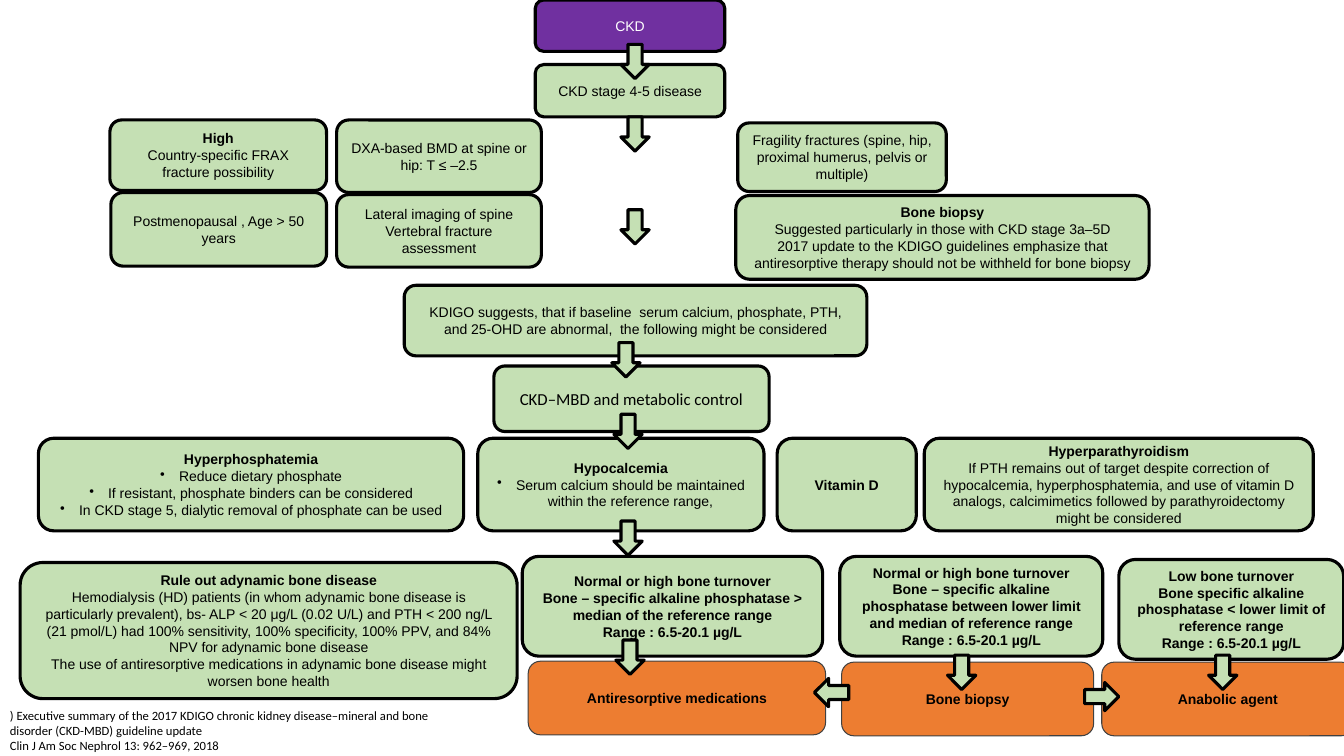
import dataclasses

import pptx
import pptx.dml.color
import pptx.enum.shapes
import pptx.enum.text
import pptx.oxml.ns
import pptx.util
from lxml import etree

Pt = pptx.util.Pt
Kind = pptx.enum.shapes.MSO_SHAPE
Align = pptx.enum.text.PP_ALIGN
Anchor = pptx.enum.text.MSO_ANCHOR


@dataclasses.dataclass(frozen=True)
class Look:
    """Fill, outline and lettering of one family of boxes."""
    fill: str = "C5E0B4"
    line: str = "000000"
    weight: float = 2.25
    text: str = "000000"
    font: str = "Arial"
    size: float = 10


@dataclasses.dataclass(frozen=True)
class Theme:
    step: Look = Look()
    start: Look = Look(fill="7030A0", text="FFFFFF")
    control: Look = Look(font="Calibri", size=12)
    therapy: Look = Look(fill="ED7D31", line="404040", weight=0.75)
    citation: Look = Look(font="Calibri", size=9)


@dataclasses.dataclass(frozen=True)
class Area:
    left: float
    top: float
    width: float
    height: float

    def inner(self, left, top, width, height):
        """Area measured from this area's top left corner."""
        return Area(self.left + left, self.top + top, width, height)

    def lengths(self):
        return [Pt(length) for length in dataclasses.astuple(self)]


THEME = Theme()
ARROW_WIDTH, ARROW_HEIGHT = 20.2, 24.5
BULLET_INDENT = 13.5


def rgb(code):
    return pptx.dml.color.RGBColor.from_string(code)


def set_all(target, values):
    for name, value in values.items():
        setattr(target, name, value)


def add_bullet(para):
    properties = para._p.get_or_add_pPr()
    properties.set("marL", str(Pt(BULLET_INDENT)))
    properties.set("indent", str(-Pt(BULLET_INDENT)))
    bullet = etree.SubElement(properties, pptx.oxml.ns.qn("a:buChar"))
    bullet.set("char", "•")


def write(frame, look, bold, plain, align, bulleted=False):
    """Write bold paragraphs, then plain ones, which may be bulleted."""
    frame.word_wrap = True
    for index, words in enumerate([*bold, *plain]):
        para = frame.add_paragraph() if index else frame.paragraphs[0]
        is_bold = index < len(bold)
        if bulleted and not is_bold:
            add_bullet(para)
        para.alignment = align
        span = para.add_run()
        span.text = words
        set_all(span.font, {"name": look.font, "size": Pt(look.size), "bold": is_bold})
        span.font.color.rgb = rgb(look.text)


def add_outlined(page, kind, area, look):
    shape = page.shapes.add_shape(kind, *area.lengths())
    shape.shadow.inherit = False
    shape.fill.solid()
    shape.fill.fore_color.rgb = rgb(look.fill)
    shape.line.color.rgb = rgb(look.line)
    shape.line.width = Pt(look.weight)
    return shape


def add_box(page, area, bold=(), plain=(), look=THEME.step, bulleted=False):
    box = add_outlined(page, Kind.ROUNDED_RECTANGLE, area, look)
    box.text_frame.vertical_anchor = Anchor.MIDDLE
    write(box.text_frame, look, bold, plain, Align.CENTER, bulleted)


def add_arrow(page, region, left, top, rotation=0):
    area = region.inner(left, top, ARROW_WIDTH, ARROW_HEIGHT)
    add_outlined(page, Kind.DOWN_ARROW, area, THEME.step).rotation = rotation


def add_entry(page, region):
    add_box(page, region.inner(0, 0, region.width, 36.7), plain=["CKD"], look=THEME.start)
    add_box(page, region.inner(0, 46.1, region.width, 37.4), plain=["CKD stage 4-5 disease"])
    for top in (31.7, 83.5, 149.8):
        add_arrow(page, region, 61.2, top)


def add_assessment(page, region):
    add_box(page, region.inner(0, 0, 154.8, 50.4), ["High"],
            ["Country-specific FRAX fracture possibility"])
    add_box(page, region.inner(0.7, 51.8, 154.1, 52.6),
            plain=["Postmenopausal , Age > 50 years"])
    imaging = (["DXA-based BMD at spine or hip: T ≤ –2.5"],
               ["Lateral imaging of spine", "Vertebral fracture assessment"])
    for row, lines in enumerate(imaging):
        add_box(page, region.inner(162, 53.3 * row, 146.2, 51.8), plain=lines)
    add_box(page, region.inner(448.5, 2.1, 149, 49),
            plain=["Fragility fractures (spine, hip, proximal humerus, pelvis or multiple)"])
    add_box(page, region.inner(447.1, 54, 295.2, 59.8), ["Bone biopsy"],
            ["Suggested particularly in those with CKD stage 3a–5D",
             "2017 update to the KDIGO guidelines emphasize that antiresorptive "
             "therapy should not be withheld for bone biopsy"])


def add_control(page, region):
    """Metabolic control steps above the row of disorders to correct."""
    add_box(page, region.inner(261.3, 0, 330.5, 50.4),
            plain=["KDIGO suggests, that if baseline  serum calcium, phosphate, PTH, "
                   "and 25-OHD are abnormal,  the following might be considered"])
    add_box(page, region.inner(325.4, 57.6, 196.6, 46.8),
            plain=["CKD–MBD and metabolic control"], look=THEME.control)
    disorders = [
        (0, 303.8, "Hyperphosphatemia",
         ["Reduce dietary phosphate",
          "If resistant, phosphate binders can be considered",
          "In CKD stage 5, dialytic removal of phosphate can be used"], True),
        (313.9, 204.5, "Hypocalcemia",
         ["Serum calcium should be maintained within the reference range,"], True),
        (527.7, 99.4, "Vitamin D", [], False),
        (632.8, 277.9, "Hyperparathyroidism",
         ["If PTH remains out of target despite correction of hypocalcemia, "
          "hyperphosphatemia, and use of vitamin D analogs, calcimimetics "
          "followed by parathyroidectomy might be considered"], False),
    ]
    for left, width, heading, advice, bulleted in disorders:
        add_box(page, region.inner(left, 109.2, width, 66.2), [heading], advice,
                bulleted=bulleted)
    for left, top in ((409.6, 41), (411.1, 92.1), (411.1, 168.4)):
        add_arrow(page, region, left, top)


def add_turnover(page, region):
    """Bone turnover findings, each leading down to its treatment."""
    add_box(page, region.inner(0, 4.4, 355, 97.2), ["Rule out adynamic bone disease"],
            ["Hemodialysis (HD) patients (in whom adynamic bone disease is particularly "
             "prevalent), bs- ALP < 20 μg/L (0.02 U/L) and PTH < 200 ng/L (21 pmol/L) had "
             "100% sensitivity, 100% specificity, 100% PPV, and 84% NPV for adynamic bone "
             "disease",
             "The use of antiresorptive medications in adynamic bone disease might worsen "
             "bone health"])
    findings = [
        (358.6, 0, 214.6, "Normal or high bone turnover",
         "Bone – specific alkaline phosphatase > median of the reference range"),
        (585.4, 0, 187.9, "Normal or high bone turnover",
         "Bone – specific alkaline phosphatase between lower limit and median of "
         "reference range"),
        (784.8, 2.2, 160.6, "Low bone turnover",
         "Bone specific alkaline phosphatase < lower limit of reference range"),
    ]
    for left, top, width, turnover, level in findings:
        add_box(page, region.inner(left, top, width, 71.3),
                [turnover, level, "Range : 6.5-20.1 µg/L"])
    therapies = [(362.9, 74.9, 212.4, "Antiresorptive medications"),
                 (586.8, 75.6, 180, "Bone biopsy"),
                 (772.6, 75.6, 180, "Anabolic agent")]
    for left, top, width, name in therapies:
        add_box(page, region.inner(left, top, width, 52.6), [name], look=THEME.therapy)
    arrows = [(425.5, 59.8, 0), (662.4, 70.6, 0), (848.9, 70.6, 0),
              (569.5, 85, 90), (762.5, 87.9, 270)]
    for left, top, rotation in arrows:
        add_arrow(page, region, left, top, rotation)


def add_citation(page, region):
    box = page.shapes.add_textbox(*region.lengths())
    lines = [") Executive summary of the 2017 KDIGO chronic kidney disease–mineral and "
             "bone disorder (CKD-MBD) guideline update",
             "Clin J Am Soc Nephrol 13: 962–969, 2018"]
    write(box.text_frame, THEME.citation, [], lines, Align.LEFT)


def main():
    deck = pptx.Presentation()
    set_all(deck, {"slide_width": Pt(960), "slide_height": Pt(540)})
    page = deck.slides.add_slide(deck.slide_layouts[6])
    add_entry(page, Area(382.3, 0, 135.4, 174.3))
    add_assessment(page, Area(78.5, 85.7, 742.3, 113.8))
    add_control(page, Area(27.4, 203.8, 910.7, 192.9))
    add_turnover(page, Area(14.4, 397.4, 945.6, 128.2))
    add_citation(page, Area(0, 501.8, 341.3, 38))
    deck.save("out.pptx")


if __name__ == "__main__":
    main()
